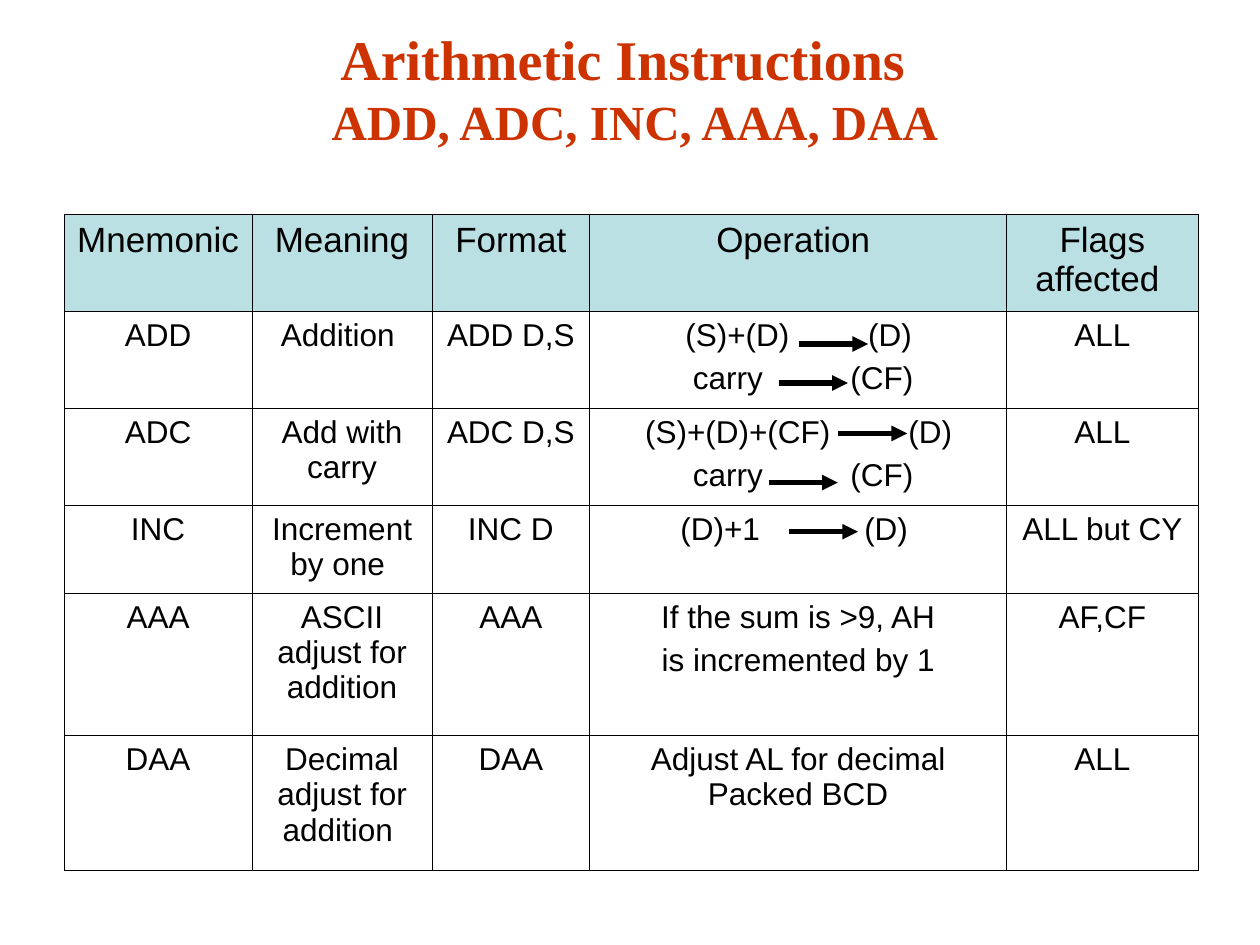
from pptx import Presentation
from pptx.dml.color import RGBColor
from pptx.enum.shapes import MSO_CONNECTOR as CONN
from pptx.enum.text import MSO_ANCHOR, MSO_AUTO_SIZE, PP_ALIGN
from pptx.oxml.ns import qn
from pptx.util import Inches, Pt
from lxml.etree import SubElement, Element

RED = RGBColor(0xCC, 0x33, 0x00)
BLACK = RGBColor(0, 0, 0)
TEAL = RGBColor(0xBB, 0xE0, 0xE3)

TITLE = [("Arithmetic Instructions ", 32), (" ADD, ADC, INC, AAA, DAA", 28)]
ROWS = [
    ("Mnemonic", "Meaning", "Format", "Operation ", "Flags affected "),
    ("ADD", "Addition ", "ADD D,S", "\t(S)+(D)\t(D)\n\tcarry\t(CF)", "ALL"),
    ("ADC", "Add with carry", "ADC D,S",
     "\t(S)+(D)+(CF)\t(D)\n\tcarry\t(CF)", "ALL"),
    ("INC", "Increment by one ", "INC D", "\t(D)+1\t(D)", "ALL but CY"),
    ("AAA", "ASCII adjust for addition", "AAA",
     "If the sum is >9, AH\nis incremented by 1", "AF,CF"),
    ("DAA", "Decimal adjust for addition ", "DAA",
     "Adjust AL for decimal\vPacked BCD", "ALL"),
]
OPERATION_STOPS = {
    "(S)+(D)": (0.66, 2.11),
    "(S)+(D)+(CF)": (0.34, 2.43),
    "carry": (0.72, 1.97),
    "(D)+1": (0.62, 2.08),
}
ARROWS = [(6.34, 2.73), (6.18, 3.04), (6.65, 3.44), (6.1, 3.83), (6.26, 4.22)]
ARROW_LENGTH = 0.55
LEFT, TOP = 0.51, 1.7
COL_WIDTHS = [1.49, 1.43, 1.25, 3.31, 1.52]
ROW_HEIGHTS = [0.77, 0.77, 0.77, 0.7, 1.13, 1.07]


def format_run(r, **values):
    color = values.pop("color")
    for name, value in values.items():
        setattr(r.font, name, value)
    r.font.color.rgb = color


def add_title(s):
    sp = s.shapes.title
    box = dict(left=0.5, top=0.3, width=9, height=1.25)
    for name, value in box.items():
        setattr(sp, name, Inches(value))
    tf = sp.text_frame
    layout = dict(word_wrap=True, auto_size=MSO_AUTO_SIZE.NONE,
                  vertical_anchor=MSO_ANCHOR.MIDDLE,
                  margin_top=0, margin_bottom=Inches(0.46))
    for name, value in layout.items():
        setattr(tf, name, value)
    p = tf.paragraphs[0]
    p.alignment = PP_ALIGN.CENTER
    for i, (text, size) in enumerate(TITLE):
        if i:
            p.add_line_break()
        r = p.add_run()
        r.text = text
        format_run(r, name="Times New Roman", size=Pt(size), bold=True, color=RED)


def set_stops(p, stops):
    p.alignment = PP_ALIGN.LEFT
    tabs = SubElement(p._p.get_or_add_pPr(), qn("a:tabLst"))
    for stop in stops:
        SubElement(tabs, qn("a:tab"), pos=str(Inches(stop)), algn="l")


def set_borders(cell):
    tcPr = cell._tc.get_or_add_tcPr()
    for i, side in enumerate("LRTB"):
        ln = Element(qn(f"a:ln{side}"), w=str(Pt(0.45)))
        fill = SubElement(ln, qn("a:solidFill"))
        SubElement(fill, qn("a:srgbClr"), val=str(BLACK))
        tcPr.insert(i, ln)


def fill_cell(cell, text, is_header):
    tf = cell.text_frame
    for i, line in enumerate(text.split("\n")):
        p = tf.add_paragraph() if i else tf.paragraphs[0]
        p.text = line
        p.alignment = PP_ALIGN.CENTER
        if i:
            p.space_before = Pt(4.5)
        if "\t" in line:
            set_stops(p, OPERATION_STOPS[line.split("\t")[1]])
        for r in p.runs:
            format_run(r, name="Arial", size=Pt(20 if is_header else 18),
                       bold=False, color=BLACK)
    if is_header:
        cell.fill.solid()
        cell.fill.fore_color.rgb = TEAL
    else:
        cell.fill.background()
    set_borders(cell)


def add_instruction_table(s):
    table = s.shapes.add_table(
        len(ROWS), len(COL_WIDTHS), Inches(LEFT), Inches(TOP),
        Inches(sum(COL_WIDTHS)), Inches(sum(ROW_HEIGHTS))).table
    table.first_row = table.horz_banding = False
    for column, width in zip(table.columns, COL_WIDTHS):
        column.width = Inches(width)
    for row, height in zip(table.rows, ROW_HEIGHTS):
        row.height = Inches(height)
    for row, texts in enumerate(ROWS):
        for col, text in enumerate(texts):
            fill_cell(table.cell(row, col), text, row == 0)


def add_arrow(s, x, y):
    arrow = s.shapes.add_connector(CONN.STRAIGHT, Inches(x), Inches(y),
                                   Inches(x + ARROW_LENGTH), Inches(y))
    arrow.line.color.rgb = BLACK
    arrow.line.width = Pt(3)
    SubElement(arrow.line._get_or_add_ln(), qn("a:tailEnd"), type="triangle")
    SubElement(arrow._element.spPr, qn("a:effectLst"))


def main():
    prs = Presentation()
    prs.slide_width, prs.slide_height = Inches(10), Inches(7.5)
    s = prs.slides.add_slide(prs.slide_layouts[5])
    add_title(s)
    add_instruction_table(s)
    for x, y in ARROWS:
        add_arrow(s, x, y)
    prs.save("out.pptx")


if __name__ == "__main__":
    main()
